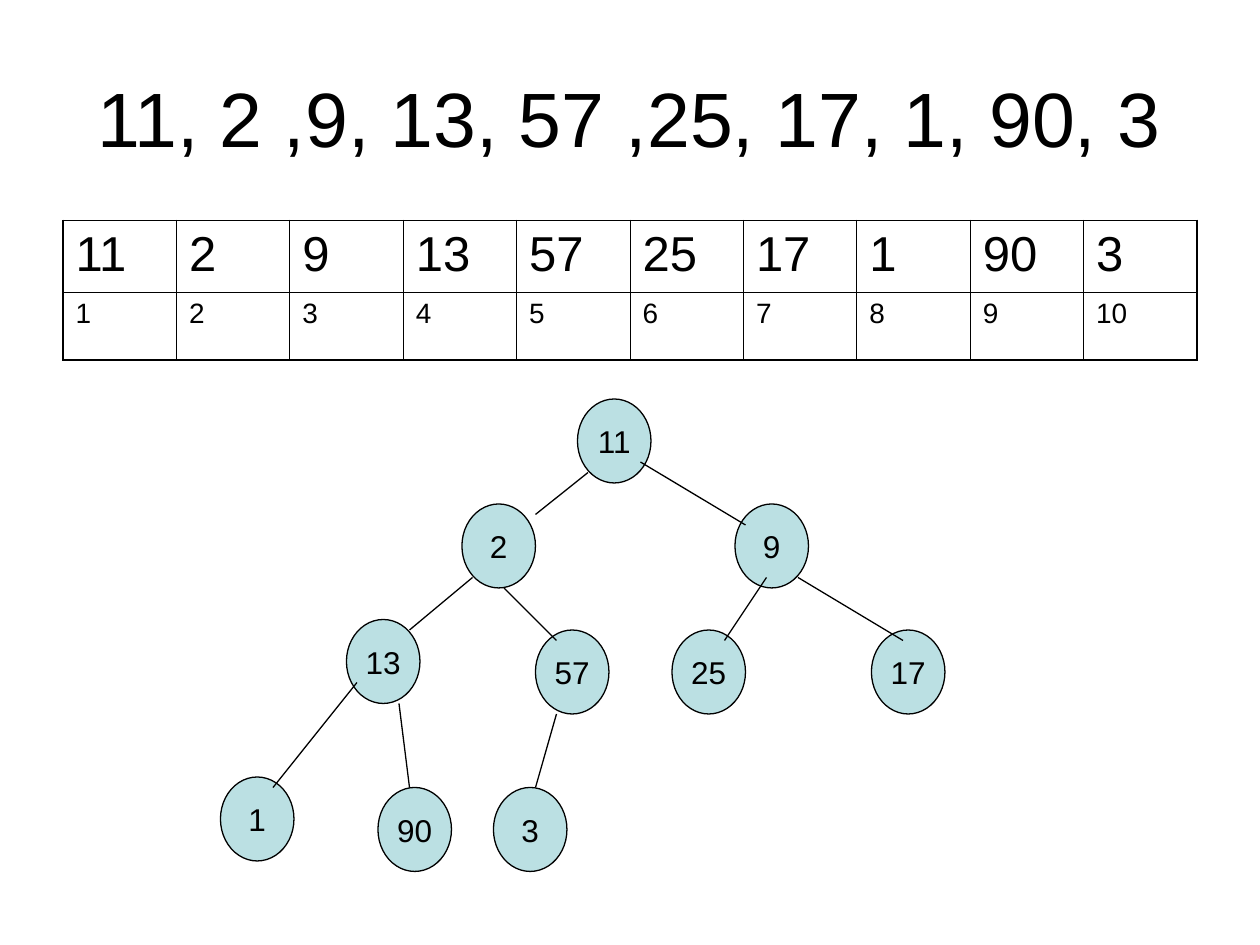
from lxml import etree
from pptx import Presentation
from pptx.dml.color import RGBColor
from pptx.enum.shapes import MSO_CONNECTOR, MSO_SHAPE
from pptx.enum.text import MSO_ANCHOR, PP_ALIGN
from pptx.oxml.ns import qn
from pptx.util import Pt

CENTER, LEFT = PP_ALIGN.CENTER, PP_ALIGN.LEFT
MIDDLE, TOP = MSO_ANCHOR.MIDDLE, MSO_ANCHOR.TOP
OVAL, STRAIGHT = MSO_SHAPE.OVAL, MSO_CONNECTOR.STRAIGHT

COLORS = {"ink": "000000", "node": "BBE0E3"}
FONT = "Arial"
VALUES = [11, 2, 9, 13, 57, 25, 17, 1, 90, 3]
TITLE = "11, 2 ,9, 13, 57 ,25, 17, 1, 90, 3"
ROW_HEIGHTS = (41, 38.8)
OUTER_BORDER, INNER_BORDER = 1.08, 0.45
NODE_WIDTH, NODE_HEIGHT = 42, 48
LINE_WIDTH = 0.75

# Left and top of each node in the order of VALUES, from the tree's corner
NODE_POSITIONS = [
    (204, 0), (138, 60), (294, 60), (72, 126), (180, 132),
    (258, 132), (372, 132), (0, 216), (90, 222), (156, 222),
]
# Start and end of each edge, from the tree's corner
EDGES = [
    (210, 42, 180, 66), (240, 36, 300, 72), (144, 102, 108, 132),
    (162, 108, 192, 138), (78, 162, 30, 222), (102, 174, 108, 222),
    (312, 102, 288, 138), (330, 102, 390, 138), (192, 180, 180, 222),
]


def rgb(name):
    return RGBColor.from_string(COLORS[name])


def write_text(text_frame, text, size, align=LEFT, anchor=MIDDLE, wrap=True):
    text_frame.word_wrap = wrap
    text_frame.vertical_anchor = anchor
    paragraph = text_frame.paragraphs[0]
    paragraph.alignment = align
    run = paragraph.add_run()
    run.text = str(text)
    run.font.name = FONT
    run.font.size = Pt(size)
    run.font.color.rgb = rgb("ink")


def add_title(slide, left, top, width, height):
    title = slide.shapes.title
    title.left, title.top = Pt(left), Pt(top)
    title.width, title.height = Pt(width), Pt(height)
    write_text(title.text_frame, TITLE, 44, align=CENTER)


def set_borders(cell, widths):
    """Draw the left, right, top and bottom borders in the given widths."""
    properties = cell._tc.get_or_add_tcPr()
    for index, (side, width) in enumerate(zip("LRTB", widths)):
        line = etree.Element(qn(f"a:ln{side}"), w=str(Pt(width)))
        fill = etree.SubElement(line, qn("a:solidFill"))
        etree.SubElement(fill, qn("a:srgbClr"), val=COLORS["ink"])
        properties.insert(index, line)


def add_array_table(slide, left, top, width):
    """Show the values above their positions, counted from 1."""
    rows = [(VALUES, 28), (range(1, len(VALUES) + 1), 16)]
    last_row, last_column = len(rows) - 1, len(VALUES) - 1
    table = slide.shapes.add_table(
        len(rows), len(VALUES), Pt(left), Pt(top), Pt(width), Pt(sum(ROW_HEIGHTS))
    ).table
    table.first_row = table.horz_banding = False
    for column in table.columns:
        column.width = Pt(width / len(VALUES))
    for row, (entries, size) in enumerate(rows):
        table.rows[row].height = Pt(ROW_HEIGHTS[row])
        for column, entry in enumerate(entries):
            cell = table.cell(row, column)
            write_text(cell.text_frame, entry, size)
            cell.vertical_anchor = TOP
            cell.fill.background()
            on_outside = (column == 0, column == last_column, row == 0, row == last_row)
            set_borders(cell, [OUTER_BORDER if outside else INNER_BORDER
                               for outside in on_outside])


def add_node(slide, value, left, top):
    node = slide.shapes.add_shape(
        OVAL, Pt(left), Pt(top), Pt(NODE_WIDTH), Pt(NODE_HEIGHT))
    node.shadow.inherit = False
    node.fill.solid()
    node.fill.fore_color.rgb = rgb("node")
    node.line.color.rgb = rgb("ink")
    node.line.width = Pt(LINE_WIDTH)
    write_text(node.text_frame, value, 18, align=CENTER, wrap=False)


def add_edge(slide, start_x, start_y, end_x, end_y):
    edge = slide.shapes.add_connector(
        STRAIGHT, Pt(start_x), Pt(start_y), Pt(end_x), Pt(end_y))
    edge.line.color.rgb = rgb("ink")
    edge.line.width = Pt(LINE_WIDTH)
    etree.SubElement(edge._element.spPr, qn("a:effectLst"))


def add_tree(slide, left, top):
    for value, (x, y) in zip(VALUES, NODE_POSITIONS):
        add_node(slide, value, left + x, top + y)
    for start_x, start_y, end_x, end_y in EDGES:
        add_edge(slide, left + start_x, top + start_y, left + end_x, top + end_y)


def main():
    presentation = Presentation()
    presentation.slide_width, presentation.slide_height = Pt(720), Pt(540)
    slide = presentation.slides.add_slide(presentation.slide_layouts[5])
    add_title(slide, 36, 21.6, 648, 90)
    add_array_table(slide, 36, 126, 648)
    add_tree(slide, 126, 228)
    presentation.save("out.pptx")


if __name__ == "__main__":
    main()
